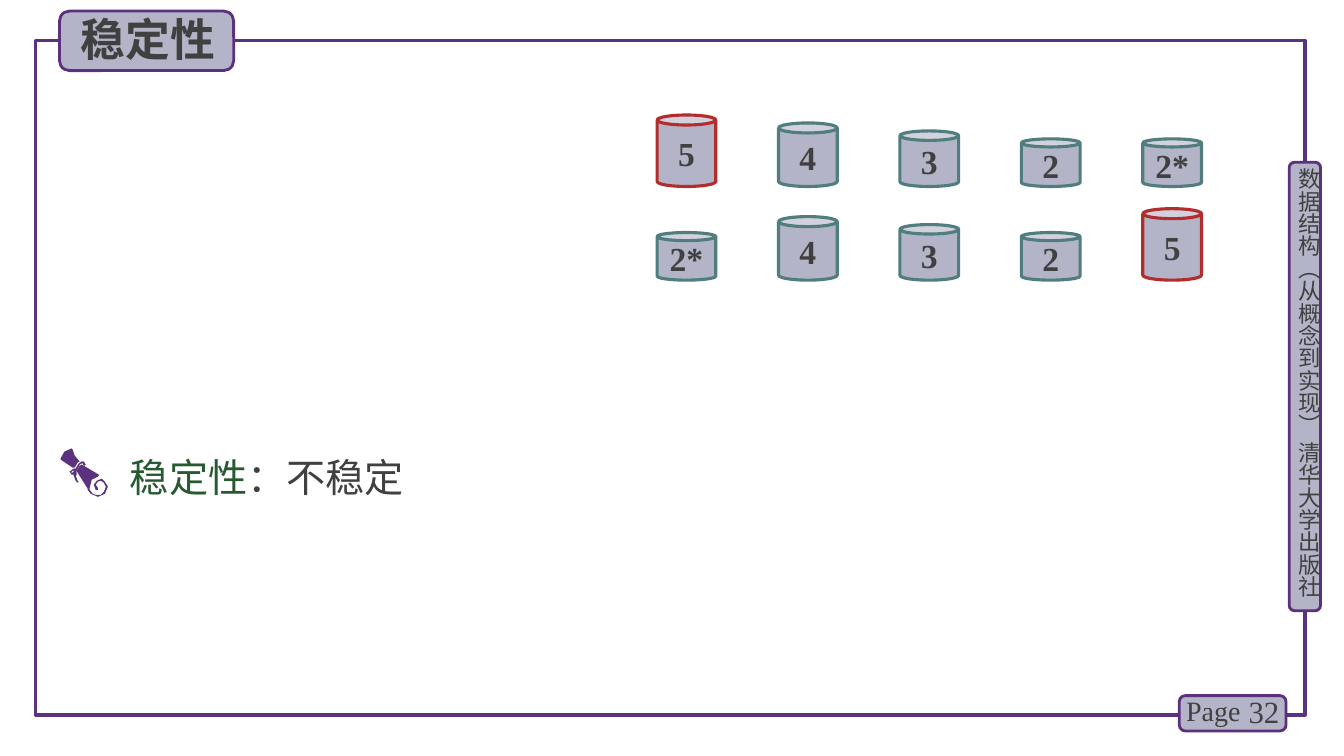
from pptx import Presentation
from pptx.dml.color import RGBColor
from pptx.enum.shapes import MSO_SHAPE
from pptx.enum.text import MSO_ANCHOR, MSO_AUTO_SIZE, PP_ALIGN
from pptx.oxml.ns import qn
from pptx.util import Cm, Pt
from lxml.etree import SubElement

COLORS = {"frame": "5A327D", "badge": "5C307D", "fill": "B4B4C8", "text": "404040",
          "term": "285A32", "can": "507D7D", "moved": "B42D2D"}
CJK, SERIF = "Noto Sans CJK SC", "Times New Roman"

SCROLL = [
    [[(15, 19), (18, 14), (20, 13), (15, 7), (13, 1), (12, 0), (5, 3), (1, 10), (1, 11), (13, 19)]],
    [[(45, 33), (42, 30), (37, 32), (34, 36), (36, 41), (38, 41), (38, 39), (36, 36), (38, 33),
      (41, 32), (44, 34), (46, 38), (44, 43), (41, 46), (36, 46), (33, 45), (30, 41), (30, 39),
      (32, 31), (38, 28), (39, 27), (39, 26), (24, 17), (22, 16), (20, 17), (18, 21), (17, 22),
      (18, 24), (28, 40), (28, 41), (31, 45), (36, 47), (38, 48), (45, 45), (48, 38)]],
    [[(18, 34), (16, 32), (14, 27), (14, 26), (15, 25), (14, 26), (12, 26), (10, 23), (14, 20),
      (16, 20), (19, 15), (22, 13), (24, 13), (26, 16), (25, 17), (24, 17), (23, 15), (22, 15),
      (20, 16), (18, 21), (17, 22), (17, 26), (16, 27), (18, 32), (19, 33)],
     [(14, 22), (12, 23), (12, 25), (13, 24), (14, 23), (15, 22)]],
]


def rgb(name):
    """Return the named colour."""
    return RGBColor.from_string(COLORS[name])


def add_run(p, text, size, font, color="text", bold=False):
    """Append one formatted run to a paragraph."""
    r = p.add_run()
    r.text = text
    r.font.size, r.font.name, r.font.bold = Pt(size), font, bold
    r.font.color.rgb = rgb(color)
    SubElement(r.font._element, qn("a:ea")).set("typeface", CJK)


def add_box(s, kind, x, y, w, h, line, width, fill="fill"):
    """Draw an outlined preset shape."""
    sp = s.shapes.add_shape(kind, x, y, w, h)
    sp.shadow.inherit = False
    if fill:
        sp.fill.solid()
        sp.fill.fore_color.rgb = rgb(fill)
    else:
        sp.fill.background()
    sp.line.color.rgb = rgb(line)
    sp.line.width = Pt(width)
    return sp


def add_badge(s, x, y, w, h):
    """Draw a rounded label plate."""
    return add_box(s, MSO_SHAPE.ROUNDED_RECTANGLE, x, y, w, h, "badge", 2)


def add_label(s, x, y, w, h, text, size, font, align=PP_ALIGN.LEFT):
    """Add a one-line text box."""
    tf = s.shapes.add_textbox(x, y, w, h).text_frame
    tf.word_wrap = True
    p = tf.paragraphs[0]
    p.alignment = align
    add_run(p, text, size, font)
    return tf


def place(sp, x, y, w, h):
    """Move a placeholder to the front and return its cleared text frame."""
    sp.left, sp.top, sp.width, sp.height = x, y, w, h
    sp._element.getparent().append(sp._element)
    tf = sp.text_frame
    tf.word_wrap = True
    tf.auto_size = MSO_AUTO_SIZE.NONE
    tf.vertical_anchor = MSO_ANCHOR.TOP
    return tf


def add_side_label(s, x, y, w, h):
    """Draw the vertical book label."""
    add_badge(s, x, y, w, h)
    tf = add_label(s, x + Cm(0.15), y + Cm(0.15), w - Cm(0.1), h + Cm(0.1),
                   "数据结构（从概念到实现） 清华大学出版社", 16, CJK)
    tf.margin_left = tf.margin_right = tf.margin_top = tf.margin_bottom = 0
    tf._txBody.bodyPr.set("vert", "eaVert")


def add_page_number(s, x, y, w, h):
    """Draw the page number plate."""
    add_badge(s, x, y, w, h)
    tf = add_label(s, x + Cm(1.27), y - Cm(0.11), Cm(1.5), Cm(1.02), "32", 22, SERIF, PP_ALIGN.RIGHT)
    tf.vertical_anchor = MSO_ANCHOR.MIDDLE
    add_label(s, x - Cm(0.08), y - Cm(0.18), Cm(1.98), Cm(1.12), "Page", 20, SERIF)


def add_title(s, x, y, w, h):
    """Draw the title plate and set the title on it."""
    add_badge(s, x, y, w, h)
    tf = place(s.shapes.title, x + Cm(0.28), y - Cm(0.1), w - Cm(0.35), h + Cm(0.13))
    p = tf.paragraphs[0]
    p.alignment = PP_ALIGN.LEFT
    add_run(p, "稳定性", 32, CJK, bold=True)


def add_scroll(s, x, y, size):
    """Draw the scroll bullet in a square box."""
    for contours in SCROLL:
        fb = None
        for start, *rest in contours:
            if fb is None:
                fb = s.shapes.build_freeform(*start, scale=size / 48)
            else:
                fb.move_to(*start)
            fb.add_line_segments(rest, close=True)
        sp = fb.convert_to_shape(x, y)
        sp.shadow.inherit = False
        sp.fill.solid()
        sp.fill.fore_color.rgb = rgb("frame")
        sp.line.fill.background()


def add_conclusion(s, x, y, w, h):
    """Set the stability statement beside its scroll."""
    add_scroll(s, x, y + Cm(0.35), Cm(1.22))
    p = place(s.placeholders[1], x + Cm(1.52), y, w - Cm(1.52), h).paragraphs[0]
    pPr = p._p.get_or_add_pPr()
    pPr.set("marL", "0")
    pPr.set("indent", "0")
    SubElement(pPr, qn("a:buNone"))
    p.line_spacing = 1.3
    p.space_before = Pt(0)
    add_run(p, "稳定性", 28, SERIF, "term")
    add_run(p, "：不稳定", 28, SERIF)


def add_can_row(s, x, bottom, w, step, labels):
    """Stand a row of cans on a base line, as tall as their numbers."""
    for i, label in enumerate(labels):
        h = Cm(0.8 + 0.2 * int(label[0]))
        line = "moved" if label == "5" else "can"
        sp = add_box(s, MSO_SHAPE.CAN, x + i * step, bottom - h, w, h, line, 2.25)
        sp.adjustments[0] = 0.17
        tf = sp.text_frame
        tf.word_wrap = False
        tf.vertical_anchor = MSO_ANCHOR.MIDDLE
        p = tf.paragraphs[0]
        p.alignment = PP_ALIGN.CENTER
        add_run(p, label, 24, SERIF, bold=True)


def main():
    """Build the slide."""
    prs = Presentation()
    prs.slide_width, prs.slide_height = Cm(33.87), Cm(19.05)
    s = prs.slides.add_slide(prs.slide_layouts[1])
    add_box(s, MSO_SHAPE.RECTANGLE, Cm(0.89), Cm(1.02), Cm(32), Cm(17), "frame", 2.25, None)
    add_side_label(s, Cm(32.49), Cm(4.09), Cm(0.79), Cm(11.3))
    add_page_number(s, Cm(29.72), Cm(17.53), Cm(2.69), Cm(0.89))
    add_title(s, Cm(1.5), Cm(0.28), Cm(4.39), Cm(1.5))
    add_conclusion(s, Cm(1.5), Cm(10.95), Cm(12.06), Cm(1.8))
    for bottom, labels in ((4.7, ["5", "4", "3", "2", "2*"]), (7.06, ["2*", "4", "3", "2", "5"])):
        add_can_row(s, Cm(16.56), Cm(bottom), Cm(1.48), Cm(3.06), labels)
    prs.save("out.pptx")


if __name__ == "__main__":
    main()
